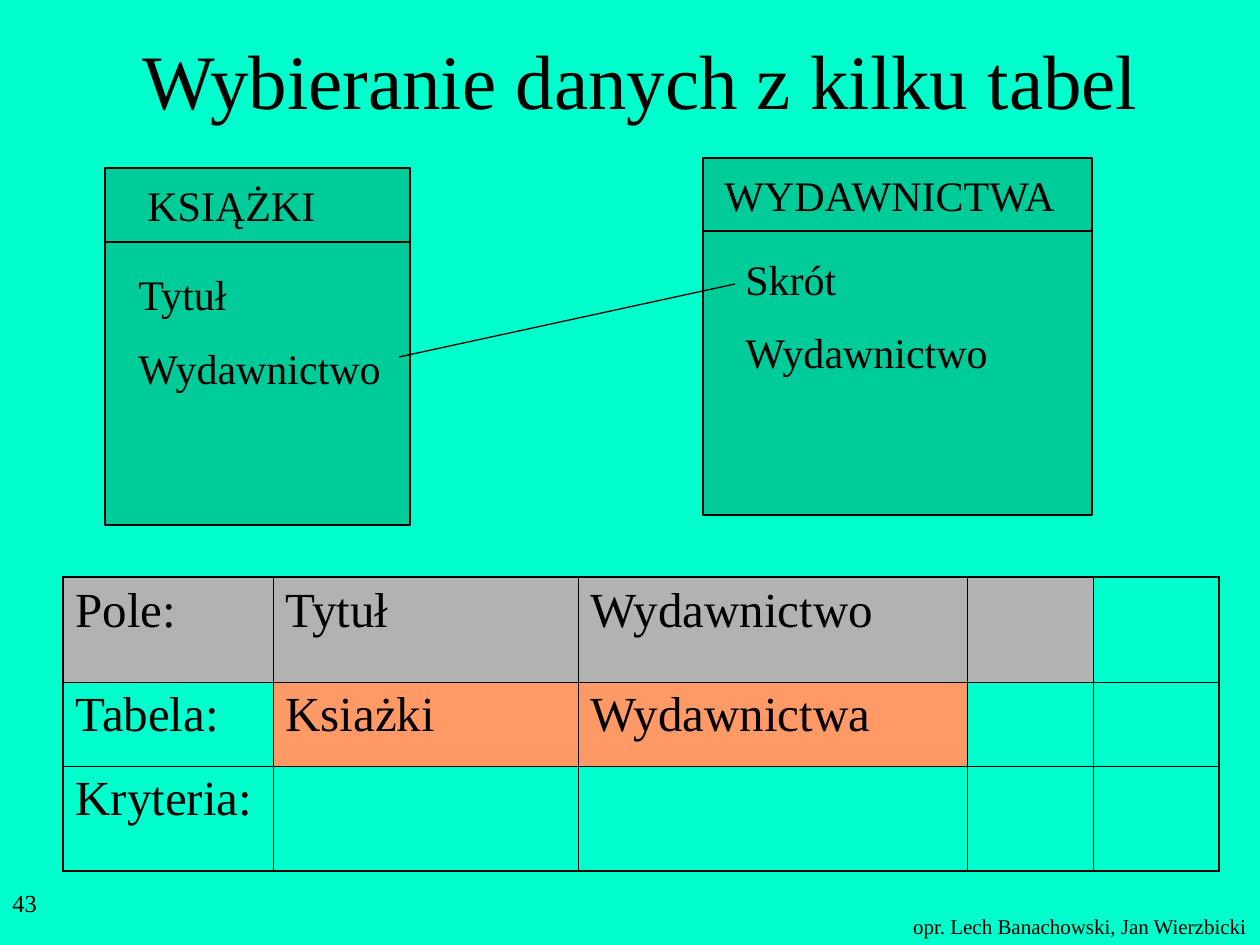
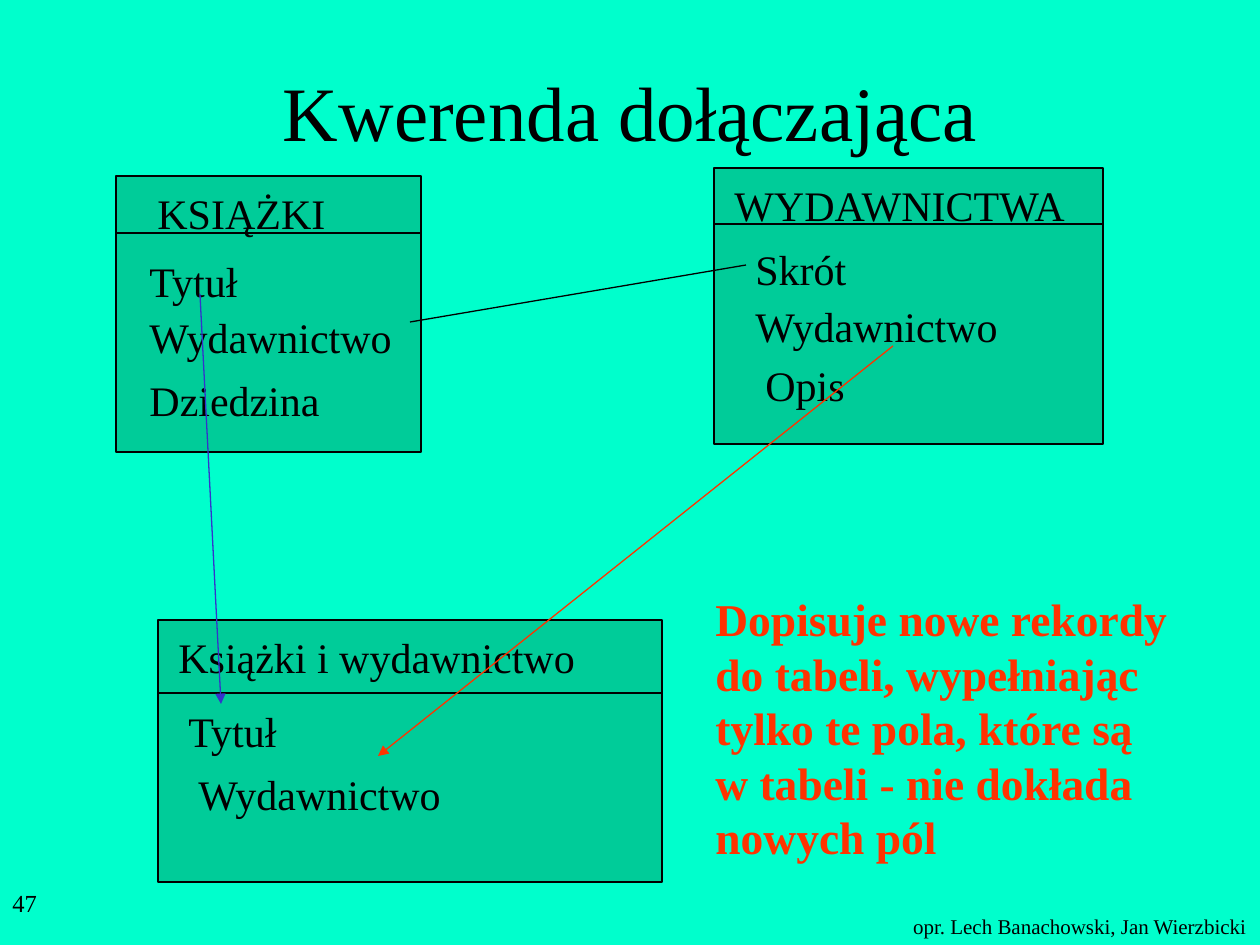
from lxml import etree
from pptx import Presentation
from pptx.dml.color import RGBColor
from pptx.enum.shapes import MSO_CONNECTOR, MSO_SHAPE
from pptx.enum.text import MSO_ANCHOR, MSO_AUTO_SIZE, PP_ALIGN
from pptx.oxml.ns import qn
from pptx.util import Emu, Pt

EMU_PER_PX = 914400 / 126
FONT = "Times New Roman"
COLORS = {
    "background": "00FFCC",
    "entity": "00CC99",
    "ink": "000000",
    "field_row": "B2B2B2",
    "table_row": "FF9966",
    "title_arrow": "3333CC",
    "accent": "FF3300",
}
AUTHORS = "opr. Lech Banachowski, Jan Wierzbicki"
THIN, THICK = 0.45, 1.08


def px(value):
    return Emu(round(value * EMU_PER_PX))


def color(name):
    return RGBColor.from_string(COLORS[name])


def add_run(paragraph, text, size, ink="ink", bold=False):
    run = paragraph.add_run()
    run.text = text
    run.font.name = FONT
    run.font.size = Pt(size)
    run.font.bold = bold
    run.font.color.rgb = color(ink)


def add_text(slide, lines, box, size, ink="ink", bold=False, align=PP_ALIGN.LEFT):
    shape = slide.shapes.add_textbox(*map(px, box))
    shape.text_frame.word_wrap = True
    paragraph = shape.text_frame.paragraphs[0]
    paragraph.alignment = align
    for index, line in enumerate(lines):
        if index:
            paragraph.add_line_break()
        add_run(paragraph, line, size, ink, bold)


def add_line(slide, start, end, ink="ink", arrow=False):
    connector = slide.shapes.add_connector(
        MSO_CONNECTOR.STRAIGHT, *map(px, start + end))
    connector.line.color.rgb = color(ink)
    connector.line.width = Pt(0.75)
    if arrow:
        line = connector.line._get_or_add_ln()
        etree.SubElement(line, qn("a:tailEnd"), type="triangle")
    etree.SubElement(connector._element.spPr, qn("a:effectLst"))


def add_entity(slide, box, divider, heading, heading_indent, fields):
    left, top, width, height = box
    shape = slide.shapes.add_shape(MSO_SHAPE.RECTANGLE, *map(px, box))
    shape.shadow.inherit = False
    shape.fill.solid()
    shape.fill.fore_color.rgb = color("entity")
    shape.line.color.rgb = color("ink")
    shape.line.width = Pt(0.75)
    add_line(slide, (left, top + divider), (left + width, top + divider))
    for text, indent, offset in [(heading, heading_indent, 5)] + fields:
        add_text(slide, [text],
                 (left + indent, top + offset, width - indent, 63), 24)


def add_titled_slide(presentation, title, title_box, number):
    slide = presentation.slides.add_slide(presentation.slide_layouts[5])
    placeholder = slide.shapes.title
    placeholder.left, placeholder.top, placeholder.width, placeholder.height = map(
        px, title_box)
    frame = placeholder.text_frame
    frame.auto_size = MSO_AUTO_SIZE.NONE
    frame.vertical_anchor = MSO_ANCHOR.MIDDLE
    paragraph = frame.paragraphs[0]
    paragraph.alignment = PP_ALIGN.CENTER
    add_run(paragraph, title, 44)
    add_text(slide, [AUTHORS], (840, 907, 419, 38), 12, align=PP_ALIGN.RIGHT)
    add_text(slide, [number], (0, 882, 262, 63), 14)
    return slide


def set_borders(cell, widths):
    properties = cell._tc.get_or_add_tcPr()
    for side, width in zip("LRTB", widths):
        line = etree.SubElement(properties, qn(f"a:ln{side}"), w=str(Pt(width)))
        fill = etree.SubElement(line, qn("a:solidFill"))
        etree.SubElement(fill, qn("a:srgbClr"), val=COLORS["ink"])


def add_query_grid(slide, left, top, widths, heights, rows, fills):
    table = slide.shapes.add_table(
        len(heights), len(widths), px(left), px(top),
        px(sum(widths)), px(sum(heights))).table
    table.first_row = False
    table.horz_banding = False
    for column, width in zip(table.columns, widths):
        column.width = px(width)
    for row, height in zip(table.rows, heights):
        row.height = px(height)
    last_row, last_column = len(heights) - 1, len(widths) - 1
    for r in range(len(heights)):
        for c in range(len(widths)):
            cell = table.cell(r, c)
            on_edge = (c == 0, c == last_column, r == 0, r == last_row)
            set_borders(cell, [THICK if edge else THIN for edge in on_edge])
            if (r, c) in fills:
                cell.fill.solid()
                cell.fill.fore_color.rgb = color(fills[r, c])
            else:
                cell.fill.background()
            if c < len(rows[r]):
                add_run(cell.text_frame.paragraphs[0], rows[r][c], 28)


def build_selection_slide(presentation):
    slide = add_titled_slide(presentation, "Wybieranie danych z kilku tabel",
                             (105, 0, 1071, 158), "43")
    add_entity(slide, (105, 168, 305, 357), 74, "KSIĄŻKI", 30,
               [("Tytuł", 21, 94), ("Wydawnictwo", 21, 168)])
    add_entity(slide, (703, 158, 389, 357), 73, "WYDAWNICTWA", 9,
               [("Skrót", 30, 89), ("Wydawnictwo", 30, 162)])
    add_line(slide, (399, 357), (735, 284))
    fills = {(0, column): "field_row" for column in range(4)}
    fills.update({(1, column): "table_row" for column in (1, 2)})
    add_query_grid(slide, 63, 577, [210, 305, 389, 126, 126], [105, 84, 105],
                   [["Pole:", "Tytuł", "Wydawnictwo"],
                    ["Tabela:", "Ksiażki", "Wydawnictwa"],
                    ["Kryteria:"]], fills)


def build_append_slide(presentation):
    slide = add_titled_slide(presentation, "Kwerenda dołączająca",
                             (95, 32, 1071, 158), "47")
    add_entity(slide, (116, 176, 305, 276), 57, "KSIĄŻKI", 29,
               [("Tytuł", 21, 73), ("Wydawnictwo", 21, 129),
                ("Dziedzina", 21, 192)])
    add_entity(slide, (714, 168, 389, 276), 56, "WYDAWNICTWA", 8,
               [("Skrót", 29, 69), ("Wydawnictwo", 29, 126), ("Opis", 39, 185)])
    add_line(slide, (410, 322), (746, 265))
    add_entity(slide, (158, 620, 504, 262), 73, "Książki i wydawnictwo", 8,
               [("Tytuł", 18, 79), ("Wydawnictwo", 28, 142)])
    add_line(slide, (200, 294), (221, 704), "title_arrow", arrow=True)
    add_line(slide, (893, 346), (378, 756), "accent", arrow=True)
    add_text(slide, ["Dopisuje nowe rekordy",
                     "do tabeli, wypełniając tylko te pola, które są",
                     "w tabeli - nie dokłada nowych pól"],
             (703, 585, 530, 286), 26, "accent", bold=True)


def main():
    presentation = Presentation()
    presentation.slide_width = px(1260)
    presentation.slide_height = px(945)
    background = presentation.slide_master.background.fill
    background.solid()
    background.fore_color.rgb = color("background")
    build_selection_slide(presentation)
    build_append_slide(presentation)
    presentation.save("out.pptx")


if __name__ == "__main__":
    main()
